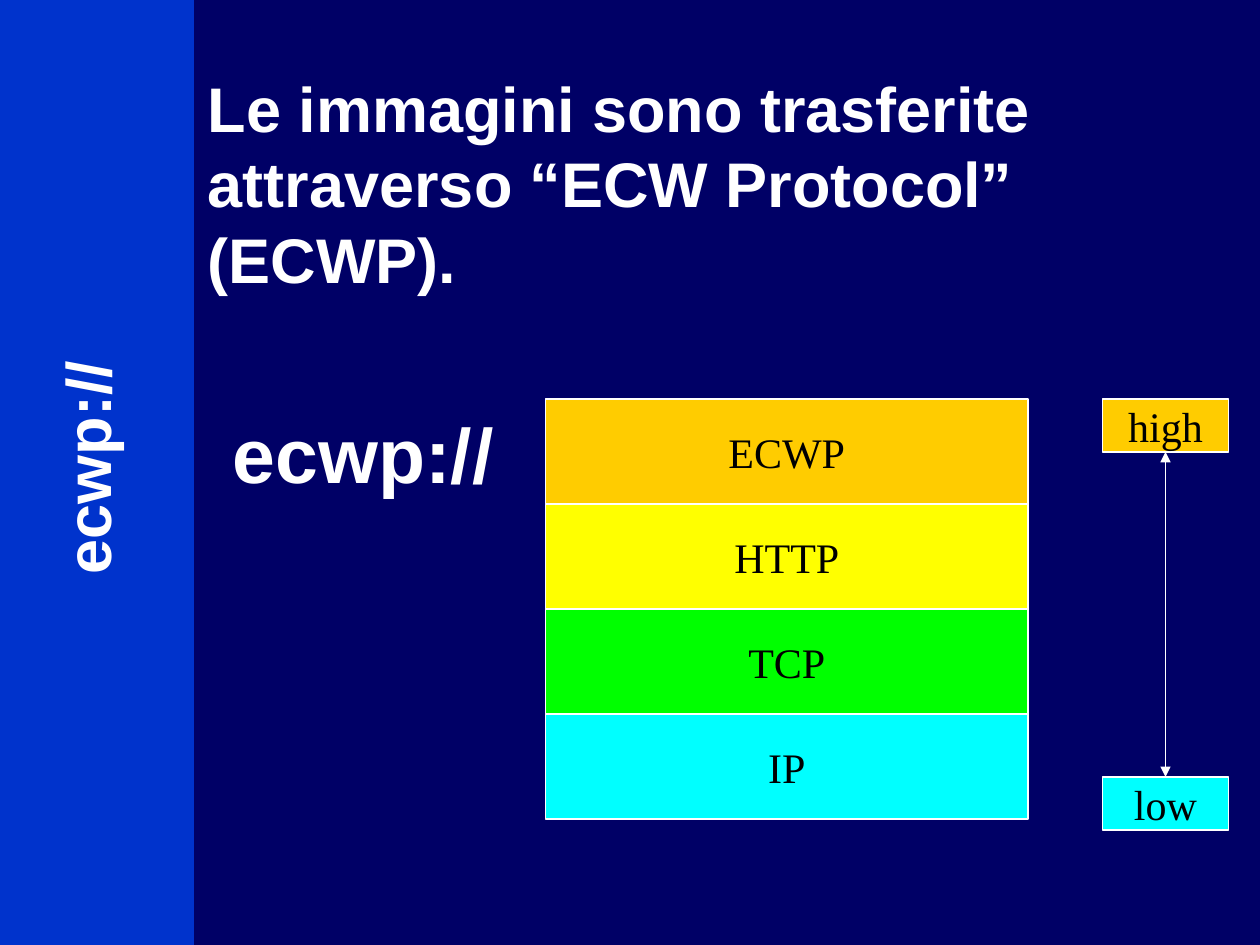
"""Build the slide showing the ECWP protocol stack."""
from dataclasses import dataclass

import lxml.etree
import pptx
import pptx.dml.color
import pptx.enum.shapes
import pptx.enum.text
import pptx.oxml.ns
import pptx.util

Inches = pptx.util.Inches
Shape = pptx.enum.shapes.MSO_SHAPE
Align = pptx.enum.text.PP_ALIGN
AutoSize = pptx.enum.text.MSO_AUTO_SIZE

NAVY, BLUE, WHITE, BLACK = "000066", "0033CC", "FFFFFF", "000000"
ORANGE, YELLOW, GREEN, CYAN = "FFCC00", "FFFF00", "00FF00", "00FFFF"


@dataclass(frozen=True)
class Block:
    label: str
    fill: str
    left: float
    top: float
    width: float
    height: float
    kind: Shape = Shape.RECTANGLE


@dataclass(frozen=True)
class Scheme:
    left: float
    top: float
    width: float
    height: float
    size: int
    before: int
    rotation: float = 0


STACK_TOP = 9.5 / 3
LAYER_HEIGHT = 2.5 / 3
LAYERS = [("ECWP", ORANGE), ("HTTP", YELLOW), ("TCP", GREEN), ("IP", CYAN)]
LEVEL_LEFT, LEVEL_WIDTH, LEVEL_HEIGHT = 8.75, 1, 0.42
LEVELS = [("high", ORANGE, STACK_TOP), ("low", CYAN, STACK_TOP + 3)]
SCHEMES = [
    Scheme(1.75, 3.17, 2.27, 0.84, 44, 11),
    Scheme(-0.36, 3.36, 2.09, 0.7, 36, 9, 269.9),
]


def colour(value: str) -> pptx.dml.color.RGBColor:
    """Turn a hex string into a colour."""
    return pptx.dml.color.RGBColor.from_string(value)


def apply(target, values: dict) -> None:
    """Set each named attribute on the target."""
    for name, value in values.items():
        setattr(target, name, value)


def write(box, text: str, font: dict, ink: str, paragraph: dict, frame: dict) -> None:
    """Write one formatted paragraph, centred vertically in the box."""
    apply(box.text_frame, {
        "vertical_anchor": pptx.enum.text.MSO_ANCHOR.MIDDLE,
        "margin_left": Inches(0.1), "margin_right": Inches(0.1),
        "margin_top": Inches(0.05), "margin_bottom": Inches(0.05),
    } | frame)
    para = box.text_frame.paragraphs[0]
    apply(para, paragraph)
    span = para.add_run()
    span.text = text
    apply(span.font, font)
    span.font.color.rgb = colour(ink)


def heading_font(size: int) -> dict:
    """Give the bold heading format at a size."""
    return {"name": "Arial", "size": pptx.util.Pt(size), "bold": True}


def add_panel(page, block: Block):
    """Add a filled shape without outline or shadow."""
    panel = page.shapes.add_shape(
        block.kind, Inches(block.left), Inches(block.top),
        Inches(block.width), Inches(block.height))
    panel.shadow.inherit = False
    panel.fill.solid()
    panel.fill.fore_color.rgb = colour(block.fill)
    panel.line.fill.background()
    return panel


def add_block(page, block: Block) -> None:
    """Add a labelled panel with a white outline."""
    panel = add_panel(page, block)
    panel.line.color.rgb = colour(WHITE)
    panel.line.width = pptx.util.Pt(1)
    write(panel, block.label, {"name": "Times New Roman", "size": pptx.util.Pt(24)},
          BLACK, {"alignment": Align.CENTER}, {"word_wrap": False})


def add_scheme(page, scheme: Scheme) -> None:
    """Add the protocol prefix as a text box."""
    box = page.shapes.add_textbox(
        Inches(scheme.left), Inches(scheme.top),
        Inches(scheme.width), Inches(scheme.height))
    box.rotation = scheme.rotation
    write(box, "ecwp://", heading_font(scheme.size), WHITE,
          {"alignment": Align.CENTER, "space_before": pptx.util.Pt(scheme.before)},
          {"word_wrap": False, "auto_size": AutoSize.NONE})


def add_double_arrow(page, x: float, top: float, bottom: float) -> None:
    """Add a vertical line with an arrowhead at each end."""
    arrow = page.shapes.add_connector(
        pptx.enum.shapes.MSO_CONNECTOR.STRAIGHT,
        Inches(x), Inches(top), Inches(x), Inches(bottom))
    arrow.line.color.rgb = colour(WHITE)
    arrow.line.width = pptx.util.Pt(1)
    qn = pptx.oxml.ns.qn
    outline = arrow.line._get_or_add_ln()
    for end in ("a:headEnd", "a:tailEnd"):
        lxml.etree.SubElement(outline, qn(end), type="triangle")
    lxml.etree.SubElement(arrow._element.spPr, qn("a:effectLst"))


def add_title(page) -> None:
    """Place and fill the title placeholder."""
    title = page.shapes.title
    apply(title, {"left": Inches(1.55), "top": Inches(0.5),
                  "width": Inches(8.36), "height": Inches(1.9)})
    write(title, "Le immagini sono trasferite attraverso “ECW Protocol” (ECWP).",
          heading_font(36), WHITE,
          {"alignment": Align.LEFT, "line_spacing": 1.0},
          {"word_wrap": True, "auto_size": AutoSize.NONE})


def main() -> None:
    """Build and save the deck."""
    deck = pptx.Presentation()
    apply(deck, {"slide_width": Inches(10), "slide_height": Inches(7.5)})
    page = deck.slides.add_slide(deck.slide_layouts[5])
    page.background.fill.solid()
    page.background.fill.fore_color.rgb = colour(NAVY)

    add_panel(page, Block("", BLUE, 0, 0, 1.54, 7.5))
    add_title(page)
    for scheme in SCHEMES:
        add_scheme(page, scheme)
    for index, (label, fill) in enumerate(LAYERS):
        top = STACK_TOP + index * LAYER_HEIGHT
        add_block(page, Block(label, fill, 4.33, top, 3.83, LAYER_HEIGHT))
    add_double_arrow(page, LEVEL_LEFT + LEVEL_WIDTH / 2,
                     LEVELS[0][2] + LEVEL_HEIGHT, LEVELS[1][2])
    for label, fill, top in LEVELS:
        add_block(page, Block(label, fill, LEVEL_LEFT, top, LEVEL_WIDTH,
                              LEVEL_HEIGHT, Shape.FLOWCHART_PROCESS))
    deck.save("out.pptx")


if __name__ == "__main__":
    main()
